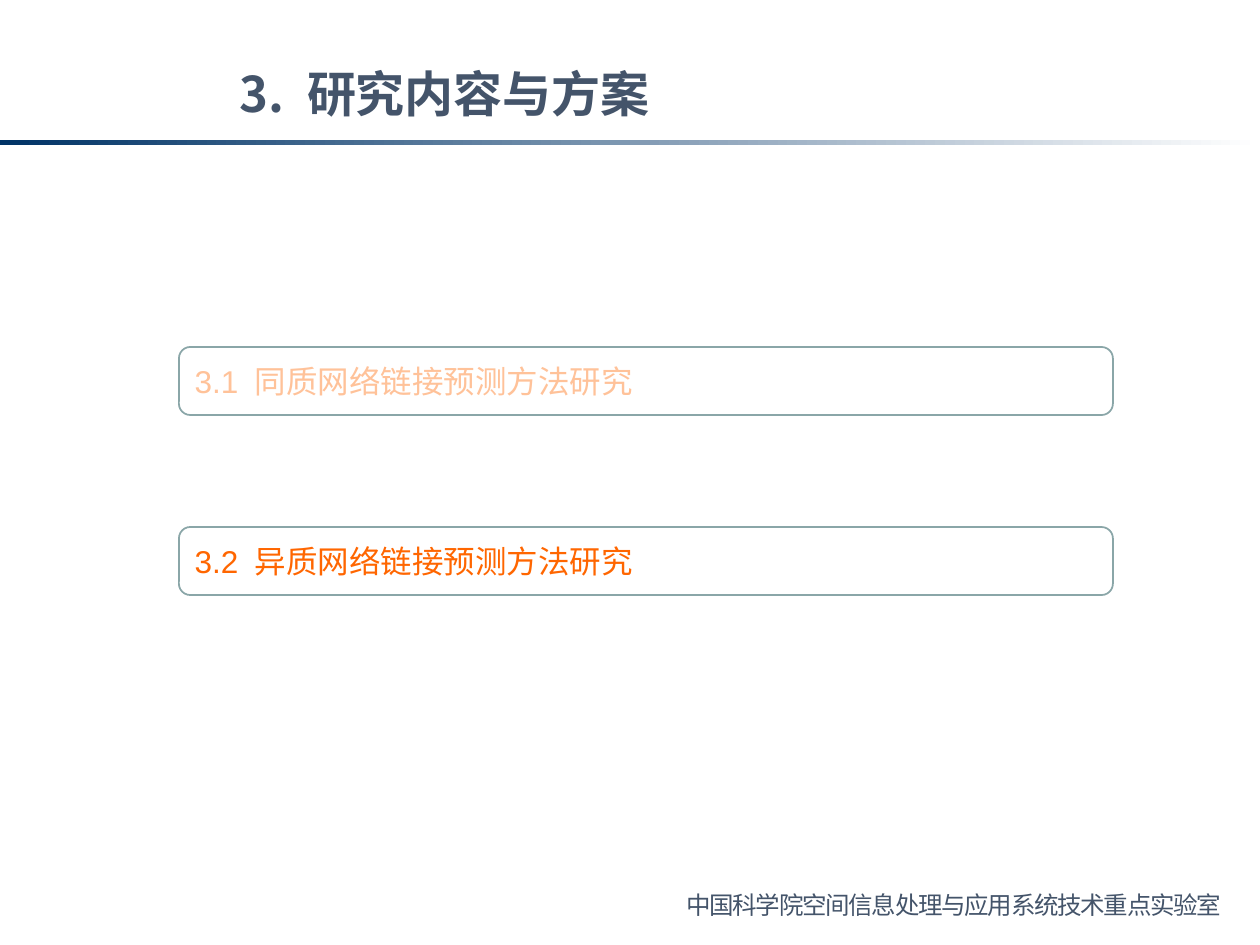
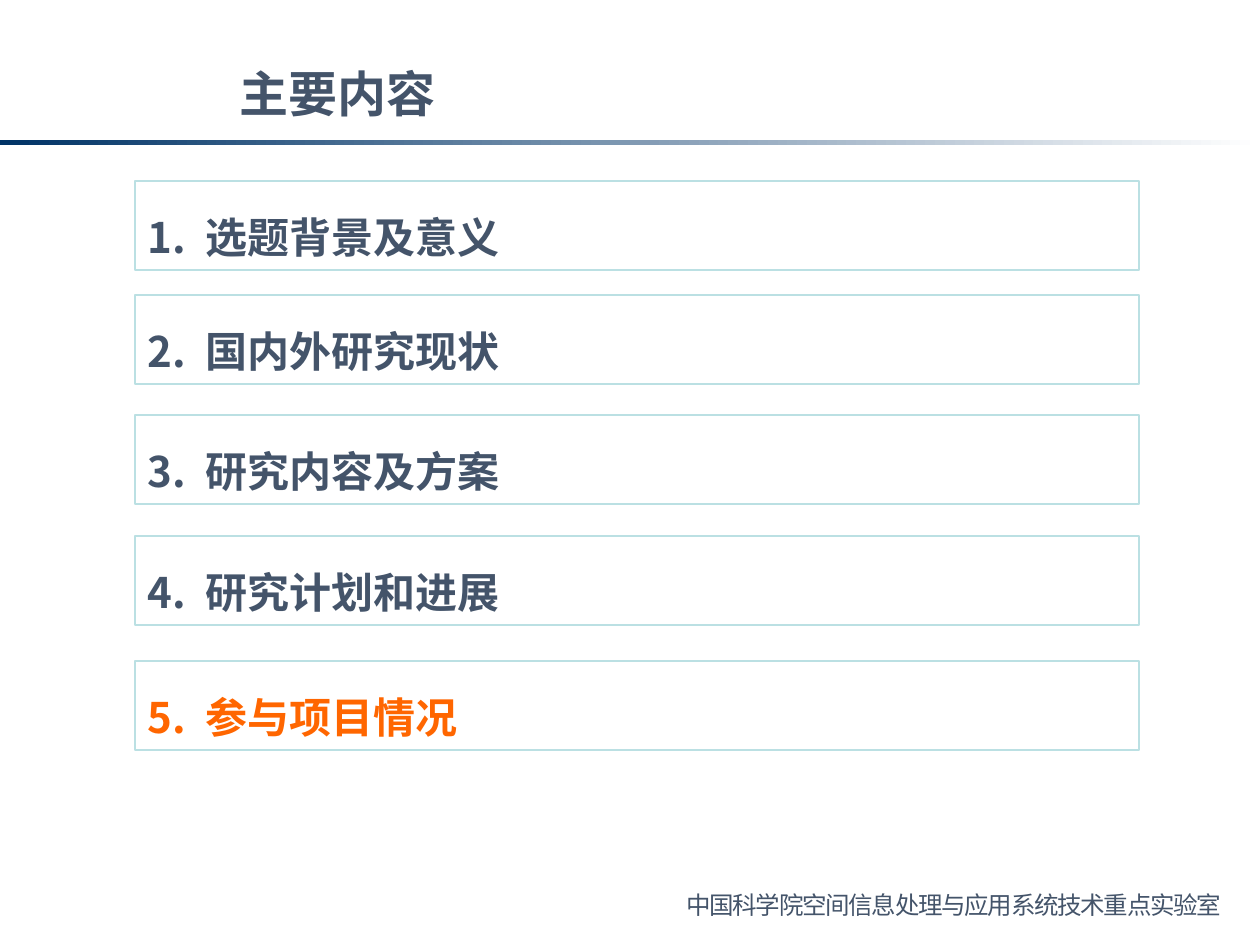
from lxml import etree
from pptx import Presentation
from pptx.dml.color import RGBColor
from pptx.enum.shapes import MSO_SHAPE
from pptx.enum.text import MSO_ANCHOR, PP_ALIGN
from pptx.oxml.ns import qn
from pptx.util import Pt

RECT, ROUNDED = MSO_SHAPE.RECTANGLE, MSO_SHAPE.ROUNDED_RECTANGLE
TOP, MIDDLE, BOTTOM = MSO_ANCHOR.TOP, MSO_ANCHOR.MIDDLE, MSO_ANCHOR.BOTTOM
LEFT = PP_ALIGN.LEFT

COLORS = {"ink": "44546A", "active": "FF6600", "faded": "FFC299",
          "navy": "003366", "white": "FFFFFF",
          "section_line": "8AA6A8", "agenda_line": "BBE0E3"}
CJK = "Noto Sans CJK SC"

FOOTER = "中国科学院空间信息处理与应用系统技术重点实验室"
SECTIONS = {
    "title": ("3.", "研究内容与方案"),
    "rows": [(347, "3.1", "同质网络链接预测方法研究", "faded"),
             (527, "3.2", "异质网络链接预测方法研究", "active")],
    "shape": ROUNDED, "left": 179, "width": 934, "height": 68,
    "line": "section_line", "fill": None, "anchor": MIDDLE, "bottom": 6,
    "font": {"name": "Arial", "size": Pt(18), "bold": False},
}
AGENDA = {
    "title": ("", "主要内容"),
    "rows": [(181, "1.", "选题背景及意义", "ink"),
             (295, "2.", "国内外研究现状", "ink"),
             (415, "3.", "研究内容及方案", "ink"),
             (536, "4.", "研究计划和进展", "ink"),
             (661, "5.", "参与项目情况", "active")],
    "shape": RECT, "left": 135, "width": 1004, "height": 89,
    "line": "agenda_line", "fill": "white", "anchor": BOTTOM, "bottom": 8,
    "font": {"name": CJK, "size": Pt(24), "bold": True},
}
TITLE_FONT = {"name": CJK, "size": Pt(28), "bold": True}
FOOTER_FONT = {"name": CJK, "size": Pt(14), "bold": False}
GAP_RATIO = 0.24


def px(n):
    return round(n * 914400 / 126)


def rgb(name):
    return RGBColor.from_string(COLORS[name])


def add_run(p, text, font, color, spacing=0):
    r = p.add_run()
    r.text = text
    for key, value in font.items():
        setattr(r.font, key, value)
    r.font.color.rgb = rgb(color)
    props = r.font._element
    etree.SubElement(props, qn("a:ea"), typeface=CJK)
    if spacing:
        props.set("spc", str(round(spacing * 100)))


def write(sp, number, text, font, color, anchor, spacing=0, leading=1.0):
    tf = sp.text_frame
    tf.word_wrap = True
    tf.vertical_anchor = anchor
    p = tf.paragraphs[0]
    p.alignment = LEFT
    p.line_spacing = leading
    if number:
        add_run(p, number, font, color)
        add_run(p, " ", font, color, font["size"].pt * GAP_RATIO)
    add_run(p, text, font, color, spacing)


def add_box(s, shape, left, top, width, height):
    sp = s.shapes.add_shape(shape, px(left), px(top), px(width), px(height))
    sp.shadow.inherit = False
    return sp


def add_text(s, left, top, width, height, *args, **kwargs):
    sp = s.shapes.add_textbox(px(left), px(top), px(width), px(height))
    write(sp, *args, **kwargs)


def add_frame(s, title):
    band = add_box(s, RECT, 0, 140, 1260, 5)
    band.line.fill.background()
    band.fill.gradient()
    band.fill.gradient_angle = 0
    for stop, color in zip(band.fill.gradient_stops, ("navy", "white")):
        stop.color.rgb = rgb(color)
    add_text(s, 227, 53, 1012, 79, *title, TITLE_FONT, "ink", MIDDLE)
    add_text(s, 674, 887, 566, 39, "", FOOTER, FOOTER_FONT, "ink", TOP,
             spacing=-0.8, leading=0.9)


def add_rows(s, page):
    for top, number, text, color in page["rows"]:
        sp = add_box(s, page["shape"], page["left"], top, page["width"], page["height"])
        if page["fill"]:
            sp.fill.solid()
            sp.fill.fore_color.rgb = rgb(page["fill"])
        else:
            sp.fill.background()
        sp.line.color.rgb = rgb(page["line"])
        sp.line.width = Pt(1)
        sp.text_frame.margin_bottom = px(page["bottom"])
        write(sp, number, text, page["font"], color, page["anchor"])


def main():
    prs = Presentation()
    prs.slide_width, prs.slide_height = px(1260), px(945)
    for page in (SECTIONS, AGENDA):
        s = prs.slides.add_slide(prs.slide_layouts[6])
        add_frame(s, page["title"])
        add_rows(s, page)
    prs.save("out.pptx")


if __name__ == "__main__":
    main()
